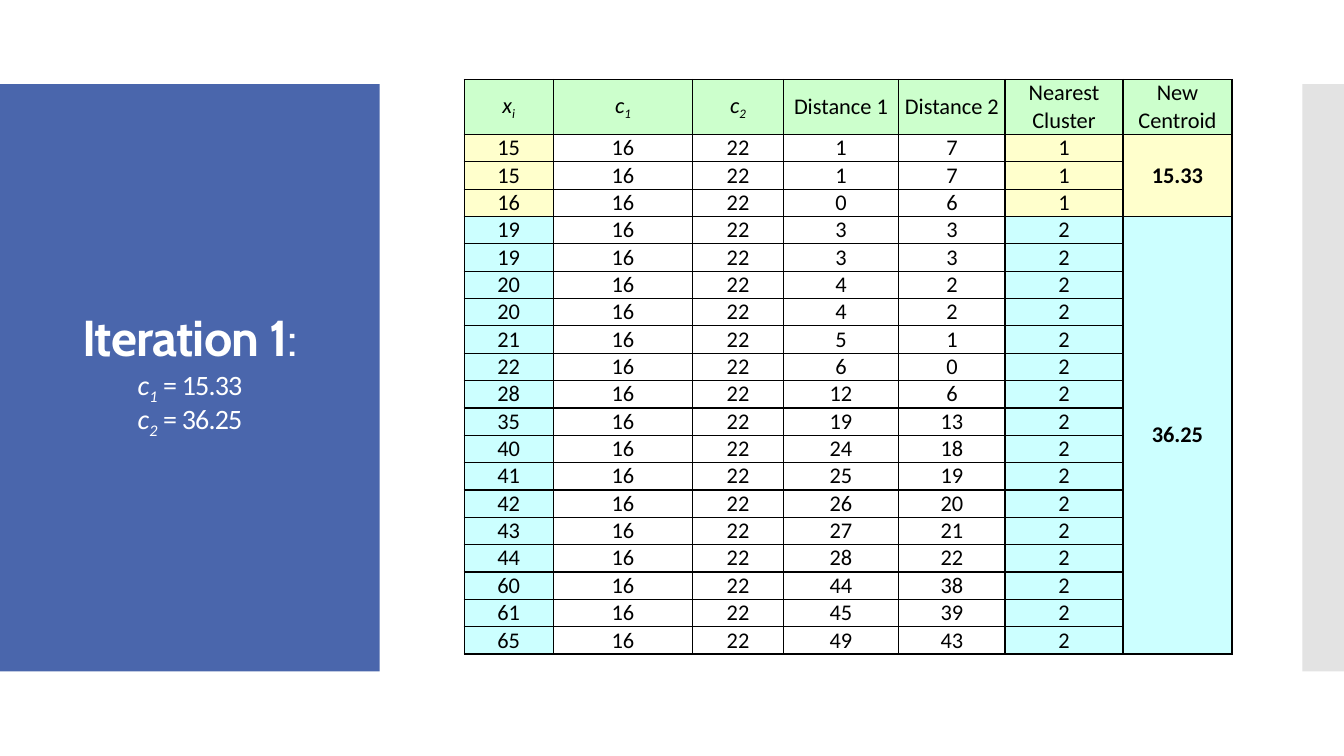
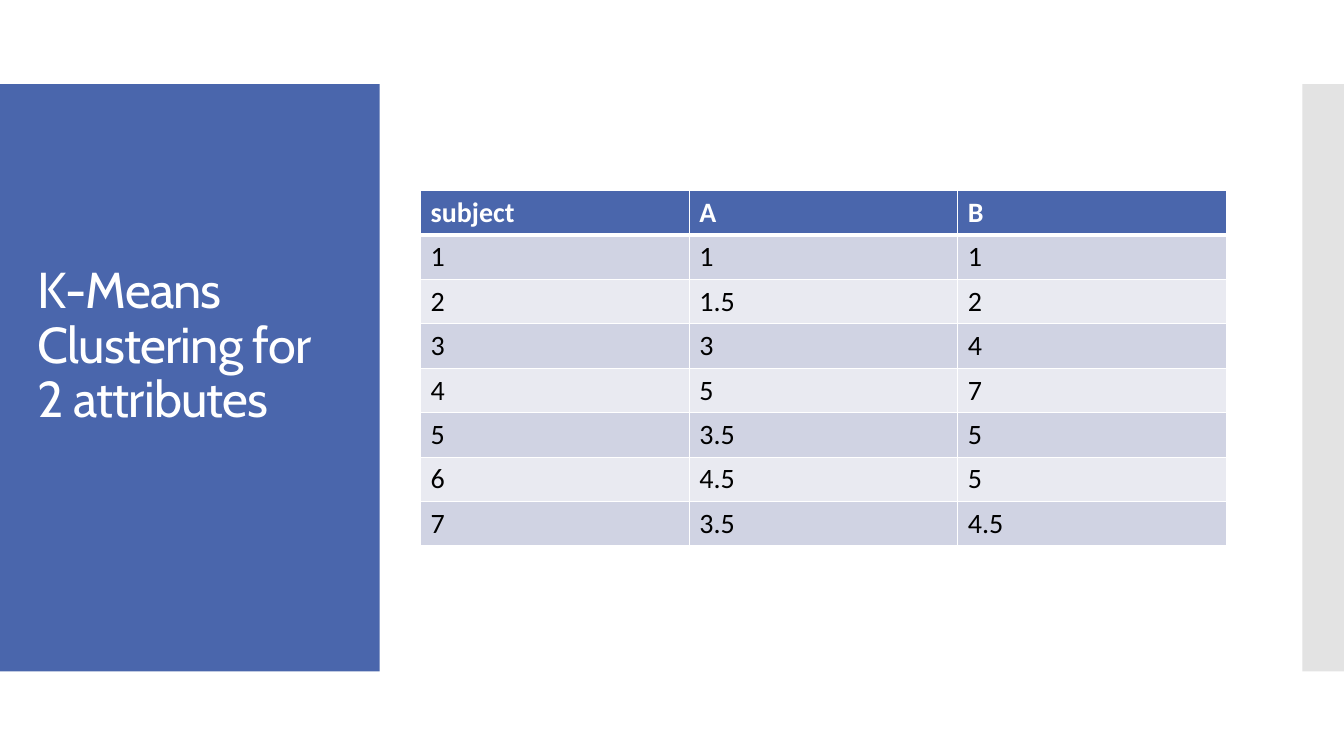
"""Build two slides on k-means clustering: an iteration table and a data table."""
from lxml import etree
from pptx import Presentation
from pptx.dml.color import RGBColor
from pptx.enum.shapes import MSO_SHAPE
from pptx.enum.text import MSO_ANCHOR, PP_ALIGN
from pptx.oxml.ns import qn
from pptx.util import Cm, Pt

RECTANGLE = MSO_SHAPE.RECTANGLE
MIDDLE, TOP = MSO_ANCHOR.MIDDLE, MSO_ANCHOR.TOP
CENTER, LEFT = PP_ALIGN.CENTER, PP_ALIGN.LEFT

COLORS = {
    "blue": "4A66AC", "gray": "E3E3E3", "white": "FFFFFF", "black": "000000",
    "header": "CCFFCC", "cluster 1": "FFFFCC", "cluster 2": "CCFFFF",
    "odd": "D0D3E3", "even": "E9EAF1",
}
TITLE_FONT, BODY_FONT = "Cabin", "Calibri"
TITLE_SIZE, FORMULA_SIZE = 36, 20


def write_spans(para, spans, size, color, font=BODY_FONT, spacing=None):
    """Add (text, style) runs; style letters are b bold, i italic, s subscript."""
    for text, style in spans:
        span = para.add_run()
        span.text = text
        span.font.name = font
        span.font.size = Pt(size)
        span.font.bold = "b" in style
        span.font.italic = "i" in style
        span.font.color.rgb = RGBColor.from_string(COLORS[color])
        properties = span._r.get_or_add_rPr()
        if "s" in style:
            properties.set("baseline", "-25000")
        if spacing is not None:
            properties.set("spc", str(spacing))


def style_cell(cell, fill, border, bottom_width=1):
    """Draw the four borders of a cell, then its fill."""
    properties = cell._tc.get_or_add_tcPr()
    for side, width in (("L", 1), ("R", 1), ("T", 1), ("B", bottom_width)):
        line = etree.SubElement(properties, qn("a:ln" + side), w=str(Pt(width)))
        solid = etree.SubElement(line, qn("a:solidFill"))
        etree.SubElement(solid, qn("a:srgbClr"), val=COLORS[border])
    if fill:
        cell.fill.solid()
        cell.fill.fore_color.rgb = RGBColor.from_string(COLORS[fill])
    else:
        cell.fill.background()


deck = Presentation()
deck.slide_width, deck.slide_height = Cm(33.87), Cm(19.05)

titles = [
    {
        "align": CENTER,
        "bottom": 0.25,
        "lines": [
            (TITLE_FONT, TITLE_SIZE, [("Iteration 1", "b"), (":", "")]),
            (BODY_FONT, FORMULA_SIZE, [("c", "i"), ("1", "is"), (" = 15.33", "")]),
            (BODY_FONT, FORMULA_SIZE, [("c", "i"), ("2", "is"), (" = 36.25", "")]),
        ],
    },
    {
        "align": LEFT,
        "bottom": 1.65,
        "lines": [(TITLE_FONT, TITLE_SIZE, [("K-Means Clustering for 2 attributes", "")])],
    },
]

pages = []
for title in titles:
    page = deck.slides.add_slide(deck.slide_layouts[6])
    pages.append(page)
    for left, width, color in ((0, 9.57, "blue"), (32.82, 1.05, "gray")):
        band = page.shapes.add_shape(RECTANGLE, Cm(left), Cm(2.12), Cm(width), Cm(14.8))
        band.shadow.inherit = False
        band.fill.solid()
        band.fill.fore_color.rgb = RGBColor.from_string(COLORS[color])
        band.line.fill.background()
    box = page.shapes.add_textbox(Cm(0.7), Cm(3.12), Cm(8.18), Cm(12.78))
    frame = box.text_frame
    frame.word_wrap = True
    frame.vertical_anchor = MIDDLE
    frame.margin_bottom = Cm(title["bottom"])
    for index, (font, size, spans) in enumerate(title["lines"]):
        para = frame.add_paragraph() if index else frame.paragraphs[0]
        para.alignment = title["align"]
        para.line_spacing = 0.9
        write_spans(para, spans, size, "white", font, spacing=-60)

iteration_page, subject_page = pages

centroids = (16, 22)
points = [15, 15, 16, 19, 19, 20, 20, 21, 22, 28, 35, 40, 41, 42, 43, 44, 60, 61, 65]
clusters = {1: [], 2: []}
header = [
    [("x", "i"), ("i", "is")], [("c", "i"), ("1", "is")], [("c", "i"), ("2", "is")],
    [("Distance 1", "")], [("Distance 2", "")],
    [("Nearest Cluster", "")], [("New Centroid", "")],
]
iteration_rows = [(header, ["header"] * 7)]
for point in points:
    distances = [abs(point - centroid) for centroid in centroids]
    nearest = 1 if distances[0] < distances[1] else 2
    clusters[nearest].append(point)
    values = [point, *centroids, *distances, nearest]
    fill = f"cluster {nearest}"
    cells = [[(str(value), "")] for value in values] + [[]]
    iteration_rows.append((cells, [fill, None, None, None, None, fill, fill]))

first_row = 1
for members in clusters.values():
    mean = sum(members) / len(members)
    iteration_rows[first_row][0][6].append((f"{mean:.2f}", "b"))
    first_row += len(members)

widths = [2.24, 3.52, 2.28, 2.91, 2.68, 2.97, 2.75]
heights = [1.39] + [0.69] * len(points)
table = iteration_page.shapes.add_table(
    len(heights), len(widths), Cm(11.7), Cm(2), Cm(sum(widths)), Cm(sum(heights))).table
table.first_row = table.horz_banding = False
for column, width in zip(table.columns, widths):
    column.width = Cm(width)
for row, height, (contents, fills) in zip(table.rows, heights, iteration_rows):
    row.height = Cm(height)
    for cell, spans, fill in zip(row.cells, contents, fills):
        cell.margin_left = cell.margin_right = cell.margin_top = cell.margin_bottom = 0
        cell.vertical_anchor = MIDDLE
        style_cell(cell, fill, "black")
        para = cell.text_frame.paragraphs[0]
        para.alignment = CENTER
        para.font.size = Pt(16)
        write_spans(para, spans, 16, "black")

first_row = 1
for members in clusters.values():
    last_row = first_row + len(members) - 1
    table.cell(first_row, 6).merge(table.cell(last_row, 6))
    first_row = last_row + 1

subject_rows = [
    ("subject", "A", "B"),
    ("1", "1", "1"),
    ("2", "1.5", "2"),
    ("3", "3", "4"),
    ("4", "5", "7"),
    ("5", "3.5", "5"),
    ("6", "4.5", "5"),
    ("7", "3.5", "4.5"),
]
column_width, row_height = 6.77, 1.12
table = subject_page.shapes.add_table(
    len(subject_rows), 3, Cm(10.6), Cm(4.8),
    Cm(3 * column_width), Cm(len(subject_rows) * row_height)).table
table.horz_banding = False
for column in table.columns:
    column.width = Cm(column_width)
for index, (row, values) in enumerate(zip(table.rows, subject_rows)):
    row.height = Cm(row_height)
    is_header = index == 0
    fill = "blue" if is_header else "odd" if index % 2 else "even"
    for cell, value in zip(row.cells, values):
        cell.vertical_anchor = TOP
        style_cell(cell, fill, "white", 3 if is_header else 1)
        write_spans(cell.text_frame.paragraphs[0], [(value, "b" if is_header else "")],
                    20, "white" if is_header else "black")

deck.save("out.pptx")
